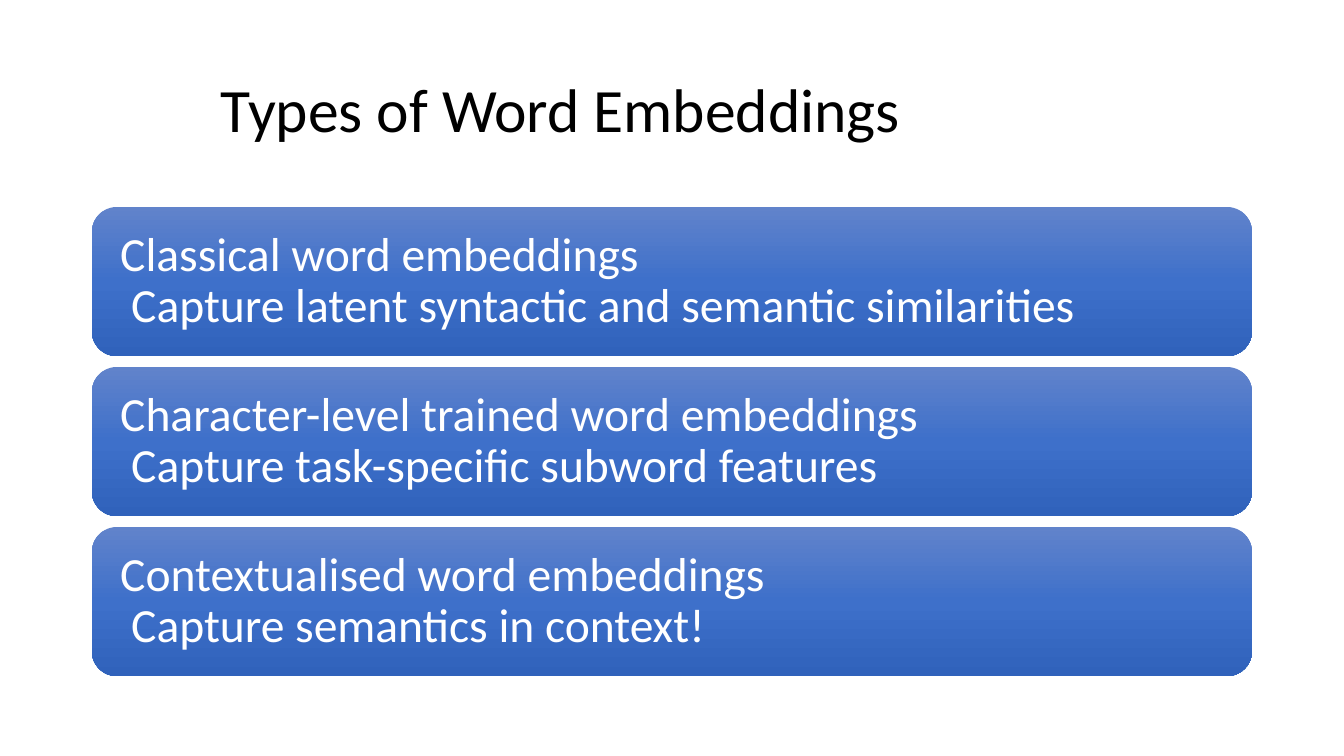
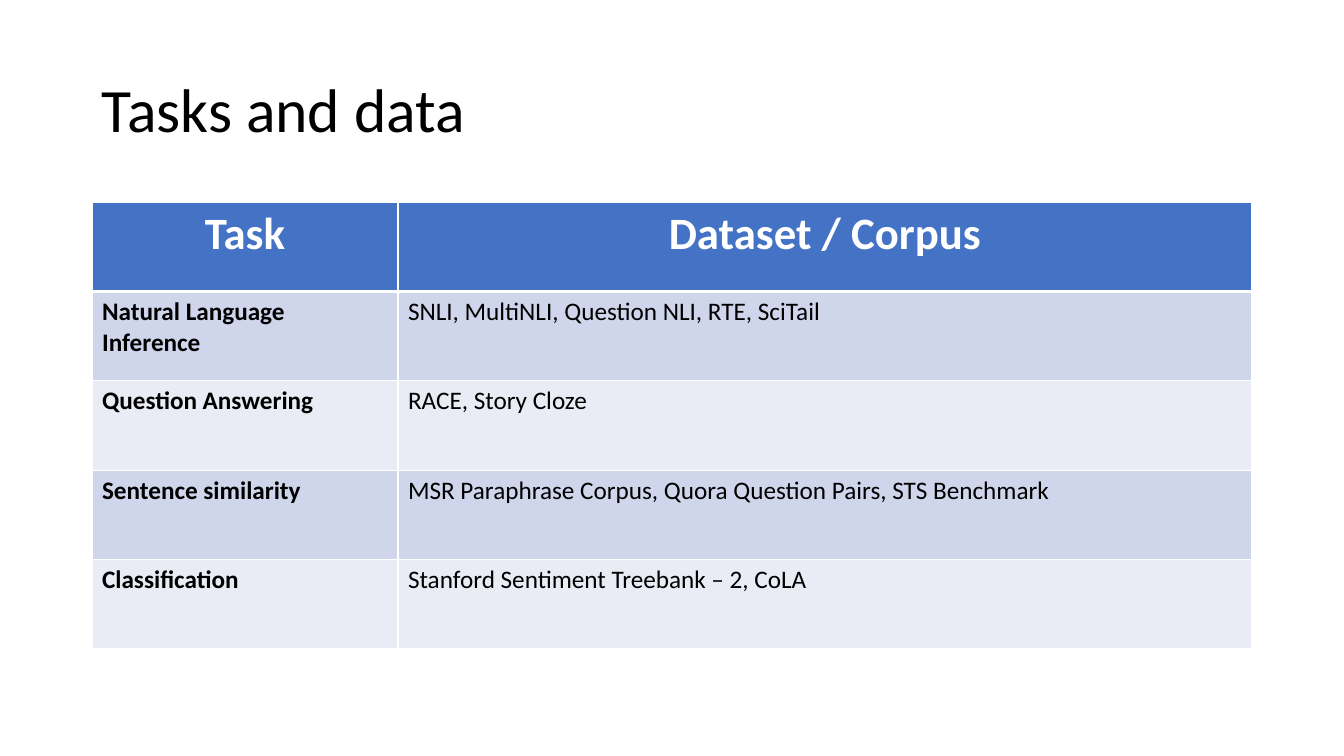
from copy import deepcopy

from lxml import etree
from pptx import Presentation, util as u
from pptx.dml.color import RGBColor
from pptx.enum import shapes, text
from pptx.oxml.ns import qn

PX = 914400 / 100.8
FONT = "Calibri"
INK = {
    "black": "000000", "white": "FFFFFF", "head": "4472C4",
    "odd": "CFD5EA", "even": "E9EBF5",
    "top": "6183CB", "mid": "3E70CA", "low": "3062BB",
}
LEFT, WIDE = 92, 1160


def px(*nums):
    return [u.Emu(round(n * PX)) for n in nums]


def rgb(name):
    return RGBColor.from_string(INK[name])


def write(frame, lines, size=18, ink="black", bold=False, align="LEFT",
          space=1.0, dent=0):
    for i, line in enumerate(lines):
        par = frame.add_paragraph() if i else frame.paragraphs[0]
        if i and dent:
            par._p.get_or_add_pPr().set("marL", str(px(dent)[0]))
        par.text = line
        par.alignment = getattr(text.PP_ALIGN, align)
        par.line_spacing = space
        font = par.font
        font.name, font.size, font.bold = FONT, u.Pt(size), bold
        font.color.rgb = rgb(ink)


class Deck:
    """Holds the shared style and the current slide."""

    def __init__(self):
        self.prs = Presentation()
        self.prs.slide_width, self.prs.slide_height = px(1344, 756)

    def page(self, title, left=LEFT):
        self.slide = self.prs.slides.add_slide(self.prs.slide_layouts[6])
        wide = LEFT + WIDE - left
        box = self.slide.shapes.add_textbox(*px(left, 40, wide, 146))
        frame = box.text_frame
        frame.word_wrap = True
        frame.vertical_anchor = text.MSO_ANCHOR.MIDDLE
        write(frame, [title], size=44, space=0.9)

    def card(self, top, lines):
        card = self.slide.shapes.add_shape(
            shapes.MSO_SHAPE.ROUNDED_RECTANGLE, *px(LEFT, top, WIDE, 149))
        card.shadow.inherit = False
        card.line.fill.background()
        self.shade(card, ["top", "mid", "low"])
        frame = card.text_frame
        frame.word_wrap = True
        frame.vertical_anchor = text.MSO_ANCHOR.MIDDLE
        frame.margin_left, frame.margin_right = px(21, 21)
        write(frame, lines, size=34, ink="white", space=0.9, dent=11)

    def shade(self, shape, inks):
        fill = shape.fill
        fill.gradient()
        fill.gradient_angle = 270
        stops = shape._element.spPr.find(".//" + qn("a:gsLst"))
        stops.append(deepcopy(stops[0]))
        for i, (stop, ink) in enumerate(zip(fill.gradient_stops, inks)):
            stop.position = i / (len(inks) - 1)
            stop.color.rgb = rgb(ink)

    def grid(self, top, high, cols, rows):
        table = self.slide.shapes.add_table(
            len(rows), len(cols), *px(LEFT, top, WIDE, high)).table
        for col, wide in zip(table.columns, px(*cols)):
            col.width = wide
        for r, row in enumerate(rows):
            for c, words in enumerate(row):
                cell = table.cell(r, c)
                cell.fill.solid()
                if r == 0:
                    cell.fill.fore_color.rgb = rgb("head")
                    write(cell.text_frame, [words], size=32, ink="white",
                          bold=True, align="CENTER")
                else:
                    cell.fill.fore_color.rgb = rgb("odd" if r % 2 else "even")
                    write(cell.text_frame, [words], bold=c == 0)
                self.edge(cell, T=3 if r == 1 else 1, B=3 if r == 0 else 1)

    def edge(self, cell, T, B):
        props = cell._tc.get_or_add_tcPr()
        for i, (side, wide) in enumerate(dict(L=1, R=1, T=T, B=B).items()):
            line = etree.Element(qn("a:ln" + side), w=str(u.Pt(wide)))
            fill = etree.SubElement(line, qn("a:solidFill"))
            etree.SubElement(fill, qn("a:srgbClr"), val=INK["white"])
            props.insert(i, line)


def main():
    deck = Deck()
    deck.page("Types of Word Embeddings", left=211)
    cards = [
        ("Classical word embeddings",
         "Capture latent syntactic and semantic similarities"),
        ("Character-level trained word embeddings",
         "Capture task-specific subword features"),
        ("Contextualised word embeddings",
         "Capture semantics in context!"),
    ]
    for i, lines in enumerate(cards):
        deck.card(207 + 160 * i, lines)

    deck.page("Tasks and data")
    deck.grid(202, 447, [306, 854], [
        ("Task", "Dataset / Corpus"),
        ("Natural Language Inference",
         "SNLI, MultiNLI, Question NLI, RTE, SciTail"),
        ("Question Answering", "RACE, Story Cloze"),
        ("Sentence similarity",
         "MSR Paraphrase Corpus, Quora Question Pairs, STS Benchmark"),
        ("Classification", "Stanford Sentiment Treebank – 2, CoLA"),
    ])
    deck.prs.save("out.pptx")


if __name__ == "__main__":
    main()
